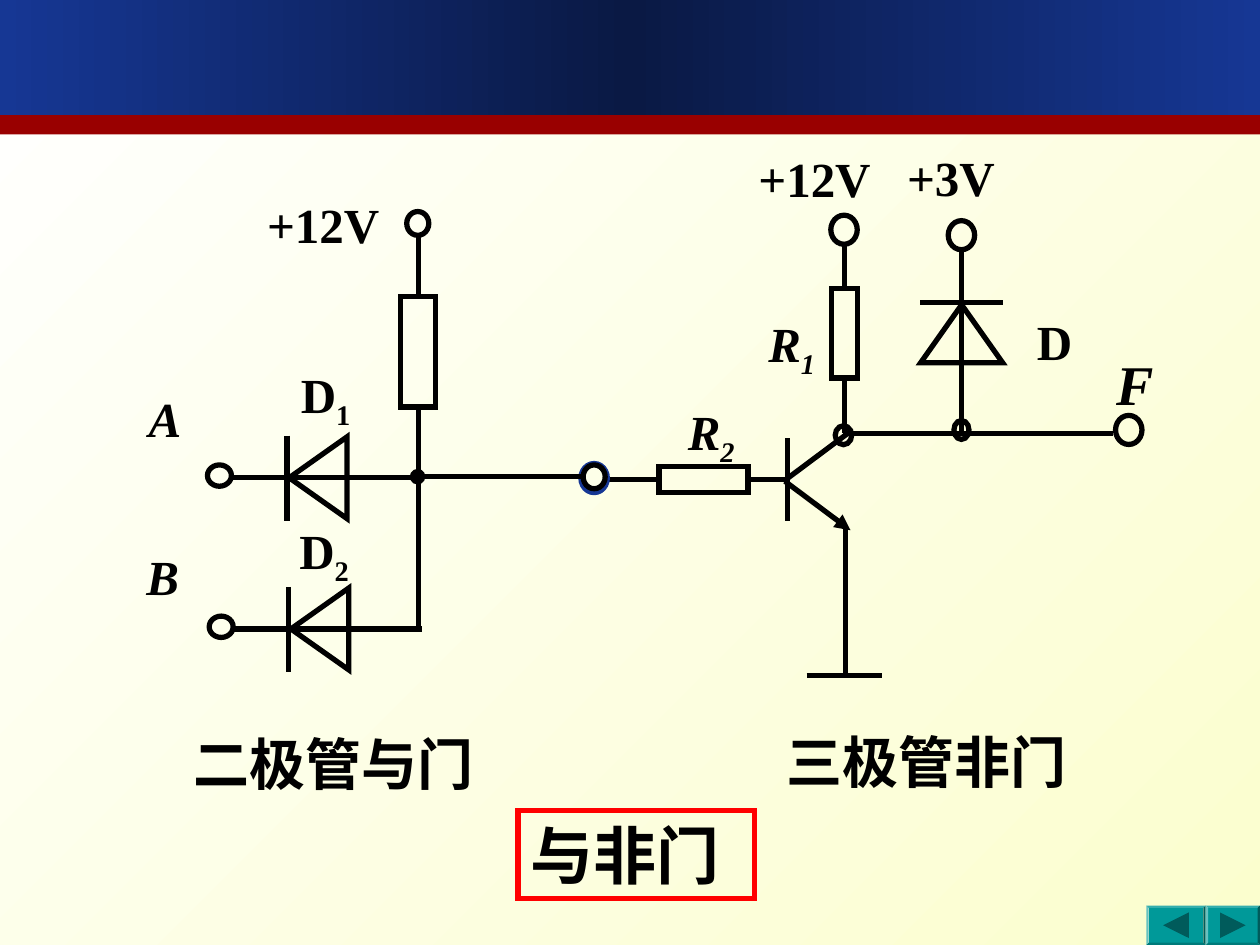
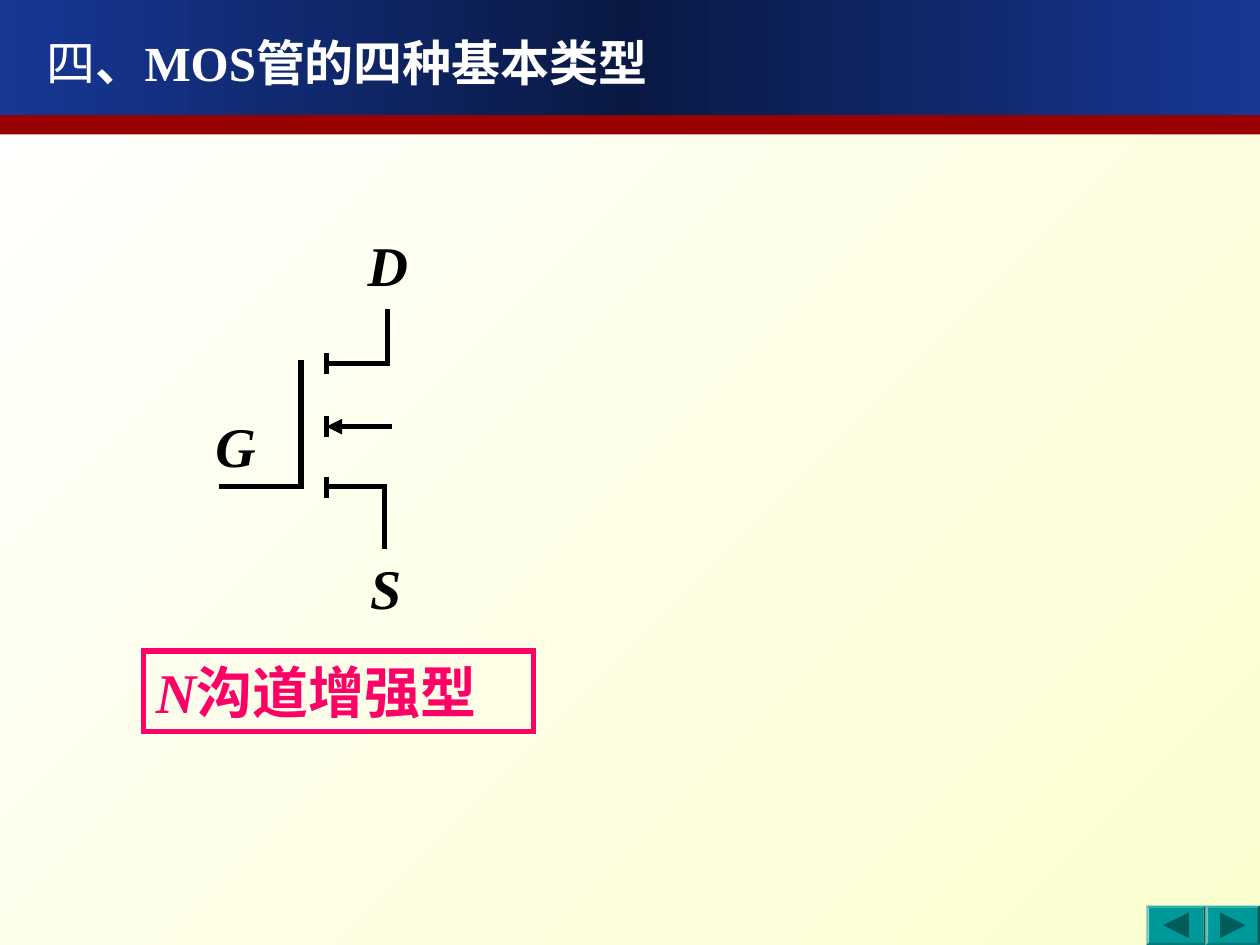
from copy import deepcopy

from lxml import etree
from pptx import Presentation
from pptx.dml.color import RGBColor
from pptx.enum.shapes import MSO_CONNECTOR, MSO_SHAPE
from pptx.enum.text import MSO_ANCHOR, MSO_AUTO_SIZE, PP_ALIGN
from pptx.oxml.ns import qn
from pptx.util import Pt

COLORS = {
    "ink": "000000", "white": "FFFFFF", "cream": "FBFECE",
    "blue": "163794", "navy": "0A1944", "band": "990000",
    "button": "009999", "button_arrow": "005B5B",
    "red": "FF0000", "pink": "FF0066",
}
FONT = "Times New Roman"
TITLE_FONT = "DejaVu Sans"
LINE_WIDTH = 3
TOP, LEFT, BOTTOM, RIGHT = range(4)


def rgb(name):
    return RGBColor.from_string(COLORS[name])


def set_gradient(fill, names, angle):
    """Spread the named colours evenly along a linear gradient."""
    fill.gradient()
    fill.gradient_angle = angle
    first = fill.gradient_stops[0]._gs
    for _ in range(len(names) - len(fill.gradient_stops)):
        first.addnext(deepcopy(first))
    for index, (stop, name) in enumerate(zip(fill.gradient_stops, names)):
        stop.color.rgb = rgb(name)
        stop.position = index / (len(names) - 1)


# Basic elements

def add_shape(slide, kind, left, top, width, height, fill=None, line=None):
    shape = slide.shapes.add_shape(kind, Pt(left), Pt(top), Pt(width), Pt(height))
    shape.shadow.inherit = False
    if fill:
        shape.fill.solid()
        shape.fill.fore_color.rgb = rgb(fill)
    else:
        shape.fill.background()
    if line:
        shape.line.color.rgb = rgb(line)
        shape.line.width = Pt(LINE_WIDTH)
        # Sharp corners
        etree.SubElement(shape.line._get_or_add_ln(), qn("a:miter"), lim="800000")
    else:
        shape.line.fill.background()
    return shape


def add_wire(slide, x1, y1, x2, y2, start=None, end=None, arrow=False):
    """Draw a line; start and end are (rectangle, side) pairs to join."""
    wire = slide.shapes.add_connector(
        MSO_CONNECTOR.STRAIGHT, Pt(x1), Pt(y1), Pt(x2), Pt(y2))
    wire.line.color.rgb = rgb("ink")
    wire.line.width = Pt(LINE_WIDTH)
    if start:
        wire.begin_connect(*start)
    if end:
        wire.end_connect(*end)
    if arrow:
        etree.SubElement(wire.line._get_or_add_ln(), qn("a:tailEnd"), type="triangle")
    etree.SubElement(wire._element.spPr, qn("a:effectLst"))
    return wire


def add_run(paragraph, text, size, color="ink", bold=True, italic=False,
            font=FONT, subscript=False):
    run = paragraph.add_run()
    run.text = text
    run.font.name = font
    run.font.size = Pt(size)
    run.font.bold = bold
    run.font.italic = italic
    run.font.color.rgb = rgb(color)
    if subscript:
        run._r.get_or_add_rPr().set("baseline", "-25000")


def prepare_text(shape):
    frame = shape.text_frame
    frame.word_wrap = True
    frame.auto_size = MSO_AUTO_SIZE.NONE
    frame.vertical_anchor = MSO_ANCHOR.TOP
    frame.margin_left = frame.margin_right = Pt(7.2)
    frame.margin_top = frame.margin_bottom = Pt(3.6)
    paragraph = frame.paragraphs[0]
    paragraph.alignment = PP_ALIGN.LEFT
    paragraph.space_before = Pt(0)
    return paragraph


def add_label(slide, text, left, top, width, size=28, italic=False, subscript=None):
    box = slide.shapes.add_textbox(Pt(left), Pt(top), Pt(width), Pt(size * 1.45))
    paragraph = prepare_text(box)
    add_run(paragraph, text, size, italic=italic)
    if subscript:
        add_run(paragraph, subscript, size, italic=italic, subscript=True)


def add_frame(slide, left, top, width, height, line):
    frame = add_shape(slide, MSO_SHAPE.RECTANGLE, left, top, width, height, line=line)
    return prepare_text(frame)


# Circuit symbols

def add_ring(slide, x, y, width, height, line="ink"):
    add_shape(slide, MSO_SHAPE.OVAL, x - width / 2, y - height / 2,
              width, height, line=line)


def add_resistor(slide, left, top, width, height):
    return add_shape(slide, MSO_SHAPE.RECTANGLE, left, top, width, height, line="ink")


def add_triangle(slide, x, y, width, height, rotation=0, fill=None, line=None):
    triangle = add_shape(slide, MSO_SHAPE.ISOSCELES_TRIANGLE, x - width / 2,
                         y - height / 2, width, height, fill, line)
    triangle.rotation = rotation


def add_input_diode(slide, x, y):
    """Input terminal, lead and a diode whose cathode bar stands at x."""
    add_wire(slide, x, y - 24, x, y + 24.5)
    add_triangle(slide, x + 17.8, y, 46.8, 33.1, rotation=270, line="ink")
    add_wire(slide, x - 31.7, y, x + 76.3, y)
    add_ring(slide, x - 38.6, y - 1.2, 13.7, 12.2)


# Shared slide frame

def add_slide(presentation, layout_index):
    slide = presentation.slides.add_slide(presentation.slide_layouts[layout_index])
    set_gradient(slide.background.fill, ["white", "cream"], 315)
    header = add_shape(slide, MSO_SHAPE.RECTANGLE, 0, 0, 720, 65.8)
    set_gradient(header.fill, ["blue", "navy", "blue"], 0)
    add_shape(slide, MSO_SHAPE.RECTANGLE, 0, 65.8, 720, 11, fill="band")
    for left, width, center, rotation in ((655, 34, 672, 270), (689, 31, 704.5, 90)):
        button = add_shape(slide, MSO_SHAPE.BEVEL, left, 517.5, width, 22.5, fill="button")
        button.adjustments[0] = 0.06
        add_triangle(slide, center, 528.7, 14.6, 14.6, rotation, fill="button_arrow")
    return slide


def set_title(slide, runs):
    title = slide.shapes.title
    title.left, title.top, title.width, title.height = Pt(19.5), Pt(15), Pt(420), Pt(41)
    paragraph = prepare_text(title)
    for text, bold, font in runs:
        add_run(paragraph, text, 28, "white", bold, font=font)
    # Bring the title in front of the header band
    slide.shapes._spTree.append(title._element)


def build_nand_slide(presentation):
    slide = add_slide(presentation, 6)

    # Transistor stage
    add_wire(slide, 450, 250.5, 450, 297.5)
    add_wire(slide, 448.5, 275, 486, 303, arrow=True)
    add_wire(slide, 448.5, 274.5, 486, 246.5)
    add_ring(slide, 482, 248.7, 9.4, 10.8)
    add_wire(slide, 482, 247.7, 636, 247.7)
    add_ring(slide, 645, 245.7, 15.1, 16.6)
    add_wire(slide, 483, 301, 483, 386)
    add_wire(slide, 461, 386, 504, 386)

    collector_resistor = add_resistor(slide, 475, 165, 15, 51)
    add_wire(slide, 482.5, 216, 482.5, 247.7, start=(collector_resistor, BOTTOM))
    add_wire(slide, 482.5, 165, 482.5, 139.7, start=(collector_resistor, TOP))
    add_ring(slide, 482.3, 131.3, 15.1, 16.6)

    base_resistor = add_resistor(slide, 376.5, 266.5, 51, 15)
    add_wire(slide, 448.5, 274, 427.5, 274, end=(base_resistor, RIGHT))
    add_wire(slide, 376.5, 274, 347, 274, start=(base_resistor, LEFT))
    add_ring(slide, 339.5, 273.2, 15.1, 16.6, line="blue")

    # Clamping diode
    add_wire(slide, 573, 172.7, 525.5, 172.7)
    add_triangle(slide, 549.5, 190.7, 46.8, 33.1, line="ink")
    add_wire(slide, 549.4, 141, 549.4, 249)
    add_ring(slide, 549.4, 245.7, 8.6, 10.8)
    add_ring(slide, 549.4, 134.4, 15.1, 16.6)

    # Diode stage
    for index in range(2):
        add_input_diode(slide, 164 + index, 273 + 86.4 * index)
    add_wire(slide, 237, 272.3, 335, 272.3)
    pull_up = add_resistor(slide, 229, 169.3, 20, 63.3)
    add_wire(slide, 239, 359.4, 239, 232.6, end=(pull_up, BOTTOM))
    add_wire(slide, 239, 169.3, 239, 133.5, start=(pull_up, TOP))
    add_ring(slide, 238.7, 127.7, 12.6, 13.6)
    add_ring(slide, 238.6, 272.4, 5.8, 5.8)
    add_ring(slide, 339.5, 272.5, 12.6, 13.6)

    # Labels
    add_label(slide, "R", 432, 175.7, 47, italic=True, subscript="1")
    add_label(slide, "R", 386, 226, 47, italic=True, subscript="2")
    add_label(slide, "D", 585.4, 174.3, 38)
    add_label(slide, "F", 630.7, 196.2, 48, size=32, italic=True)
    add_label(slide, "+12V", 426.3, 81.4, 90)
    add_label(slide, "+3V", 511.2, 80.7, 90)
    add_label(slide, "+12V", 145.5, 107.6, 84)
    add_label(slide, "D", 164.9, 204.5, 50, subscript="1")
    add_label(slide, "D", 164, 293.7, 50, subscript="2")
    add_label(slide, "A", 77.8, 218.6, 43, italic=True)
    add_label(slide, "B", 76.5, 308.5, 43, italic=True)
    add_label(slide, "三极管非门", 442.5, 411.9, 192, size=32)
    add_label(slide, "二极管与门", 103.7, 413.3, 190, size=32)

    paragraph = add_frame(slide, 296, 463, 135, 50.4, "red")
    add_run(paragraph, "与非门", 36)


def build_mos_slide(presentation):
    slide = add_slide(presentation, 5)
    set_title(slide, [("四", False, TITLE_FONT), ("、", True, TITLE_FONT),
                      ("MOS管的四种基本类型", True, FONT)])

    # Gate
    add_wire(slide, 172, 206, 172, 278)
    add_wire(slide, 173.5, 278, 125.3, 278)

    # Broken channel with drain, substrate and source leads
    for y in (207.7, 243.7, 278.3):
        add_wire(slide, 186.5, y - 6, 186.5, y + 6)
    add_wire(slide, 224, 243.8, 186.5, 243.8, arrow=True)
    add_wire(slide, 185, 207.8, 222.5, 207.8)
    add_wire(slide, 186.5, 278, 221, 278)
    add_wire(slide, 221.3, 209.3, 221.3, 176.3)
    add_wire(slide, 219.7, 276.5, 219.7, 314)

    # Labels
    add_label(slide, "G", 116, 231.8, 48, size=32, italic=True)
    add_label(slide, "S", 204.5, 312.5, 50, size=32, italic=True)
    add_label(slide, "D", 203, 128.2, 55, size=32, italic=True)

    paragraph = add_frame(slide, 82, 372, 223, 46, "pink")
    add_run(paragraph, "N", 32, "pink", italic=True)
    add_run(paragraph, "沟道增强型", 32, "pink")


def main():
    presentation = Presentation()
    presentation.slide_width, presentation.slide_height = Pt(720), Pt(540)
    build_nand_slide(presentation)
    build_mos_slide(presentation)
    presentation.save("out.pptx")


if __name__ == "__main__":
    main()
